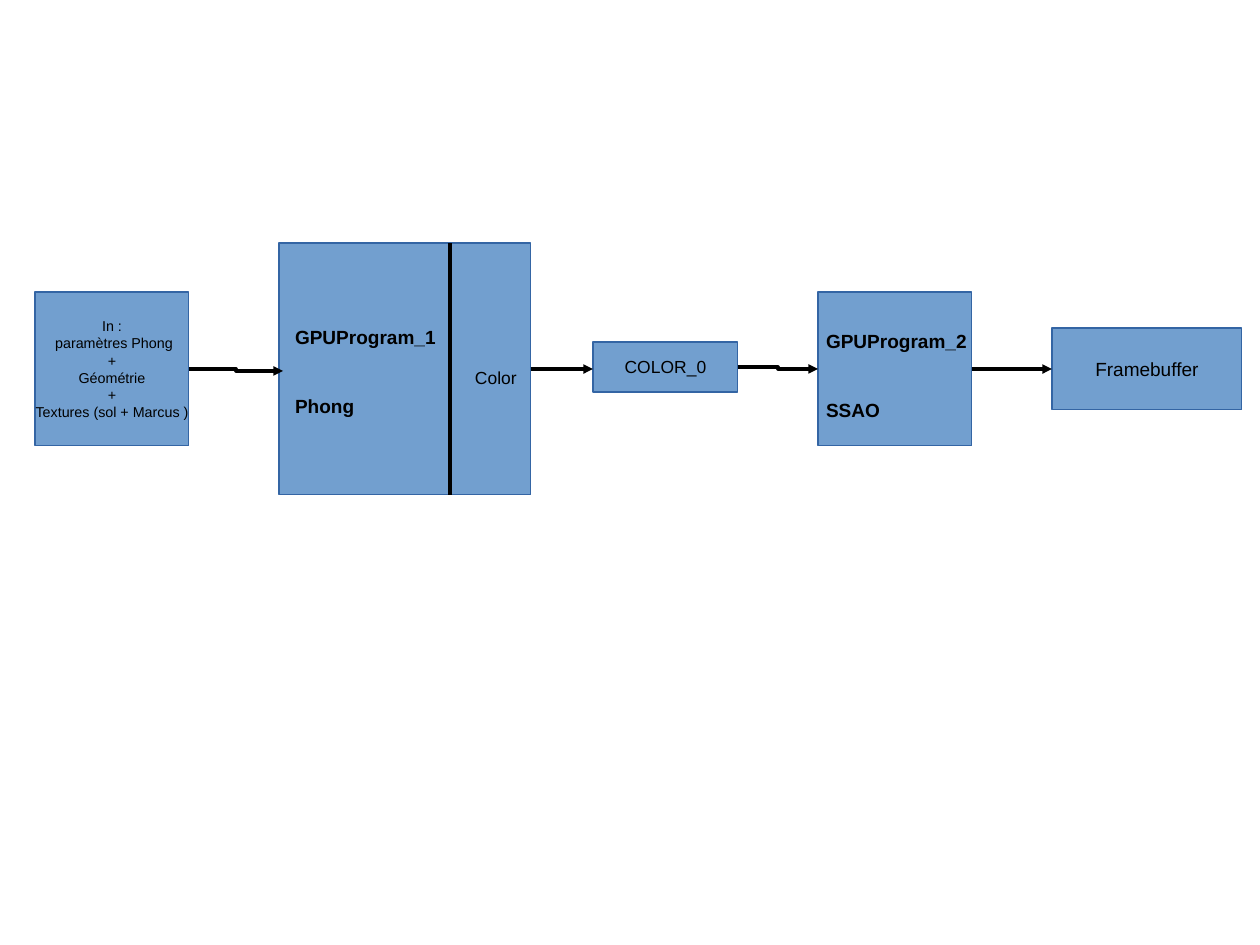
from dataclasses import dataclass

from lxml import etree
from pptx import Presentation
from pptx import util as u
from pptx.dml.color import RGBColor
from pptx.enum import shapes, text
from pptx.oxml.ns import qn

# Content: name -> (left, top, width, height), lines, type size
BOXES = {
    "input": ((35, 292, 154, 154),
              ["In :", " paramètres Phong", "+", "Géométrie", "+",
               "Textures (sol + Marcus )"], "small"),
    "phong": ((279, 243, 252, 252), [], "title"),
    "ssao": ((818, 292, 154, 154), [], "title"),
    "framebuffer": ((1052, 328, 190, 82), ["Framebuffer"], "title"),
    "color_0": ((593, 342, 145, 50), ["COLOR_0"], "label"),
}
# Rectangle, lines, type size, bold, gap between lines in points
LABELS = [
    ((475, 356, 56, 44), ["Color"], "label", False, 0),
    ((295, 326, 150, 91), ["GPUProgram_1", "Phong"], "title", True, 29.5),
    ((826, 330, 150, 91), ["GPUProgram_2", "SSAO"], "title", True, 29.5),
]
# From box, to box, free end point where the arrow is not joined
ARROWS = [
    ("input", "phong", (283, 371)),
    ("phong", "color_0", (593, 369)),
    ("color_0", "ssao", None),
    ("ssao", "framebuffer", None),
]
DIVIDER_X = 450
TOP, LEFT, BOTTOM, RIGHT = range(4)


@dataclass(frozen=True)
class Theme:
    font: str = "Arial"
    fill: RGBColor = RGBColor(0x72, 0x9F, 0xCF)
    border: RGBColor = RGBColor(0x34, 0x65, 0xA4)
    ink: RGBColor = RGBColor(0, 0, 0)
    small: int = 9
    label: int = 11
    title: int = 12


THEME = Theme()
PX = 8000  # EMU per px


def px(*lengths):
    return [u.Emu(n * PX) for n in lengths]


def write(sp, lines, size, bold=False, align=text.PP_ALIGN.LEFT, gap=0, wrap=True):
    tf = sp.text_frame
    tf.word_wrap = wrap
    tf.vertical_anchor = text.MSO_ANCHOR.MIDDLE
    tf.margin_left = tf.margin_right = tf.margin_top = tf.margin_bottom = 0
    for i, line in enumerate(lines):
        p = tf.add_paragraph() if i else tf.paragraphs[0]
        p.alignment = align
        p.space_before = u.Pt(gap if i else 0)
        r = p.add_run()
        r.text = line
        r.font.name, r.font.size, r.font.bold = THEME.font, u.Pt(size), bold
        r.font.color.rgb = THEME.ink


def add_line(s, kind, start, end, arrow=False):
    c = s.shapes.add_connector(kind, *px(*start, *end))
    c.line.color.rgb = THEME.ink
    c.line.width = 0
    if arrow:
        etree.SubElement(c.line._get_or_add_ln(), qn("a:tailEnd"), type="triangle")
    etree.SubElement(c._element.spPr, qn("a:effectLst"))
    return c


def side(name, right):
    x, y, w, h = BOXES[name][0]
    return x + w * right, y + h // 2


def main():
    prs = Presentation()
    prs.slide_width, prs.slide_height = px(1260, 945)
    s = prs.slides.add_slide(prs.slide_layouts[6])

    # Boxes
    drawn = {}
    for name, (rect, lines, size) in BOXES.items():
        sp = s.shapes.add_shape(shapes.MSO_SHAPE.RECTANGLE, *px(*rect))
        sp.shadow.inherit = False
        sp.fill.solid()
        sp.fill.fore_color.rgb = THEME.fill
        sp.line.color.rgb = THEME.border
        sp.line.width = 0
        write(sp, lines, getattr(THEME, size), align=text.PP_ALIGN.CENTER, wrap=False)
        drawn[name] = sp

    # Labels over the program boxes
    for rect, lines, size, bold, gap in LABELS:
        write(s.shapes.add_textbox(*px(*rect)), lines, getattr(THEME, size),
              bold=bold, gap=gap)

    # Divider between the program and its output
    _, y, _, h = BOXES["phong"][0]
    add_line(s, shapes.MSO_CONNECTOR.STRAIGHT, (DIVIDER_X, y), (DIVIDER_X, y + h))

    # Arrows, with an elbow where the two ends differ in height
    for source, target, free_end in ARROWS:
        start, end = side(source, True), free_end or side(target, False)
        level = start[1] == end[1]
        kind = shapes.MSO_CONNECTOR.STRAIGHT if level else shapes.MSO_CONNECTOR.ELBOW
        c = add_line(s, kind, start, end, arrow=True)
        c.begin_connect(drawn[source], RIGHT)
        if not free_end:
            c.end_connect(drawn[target], LEFT)

    prs.save("out.pptx")


if __name__ == "__main__":
    main()
